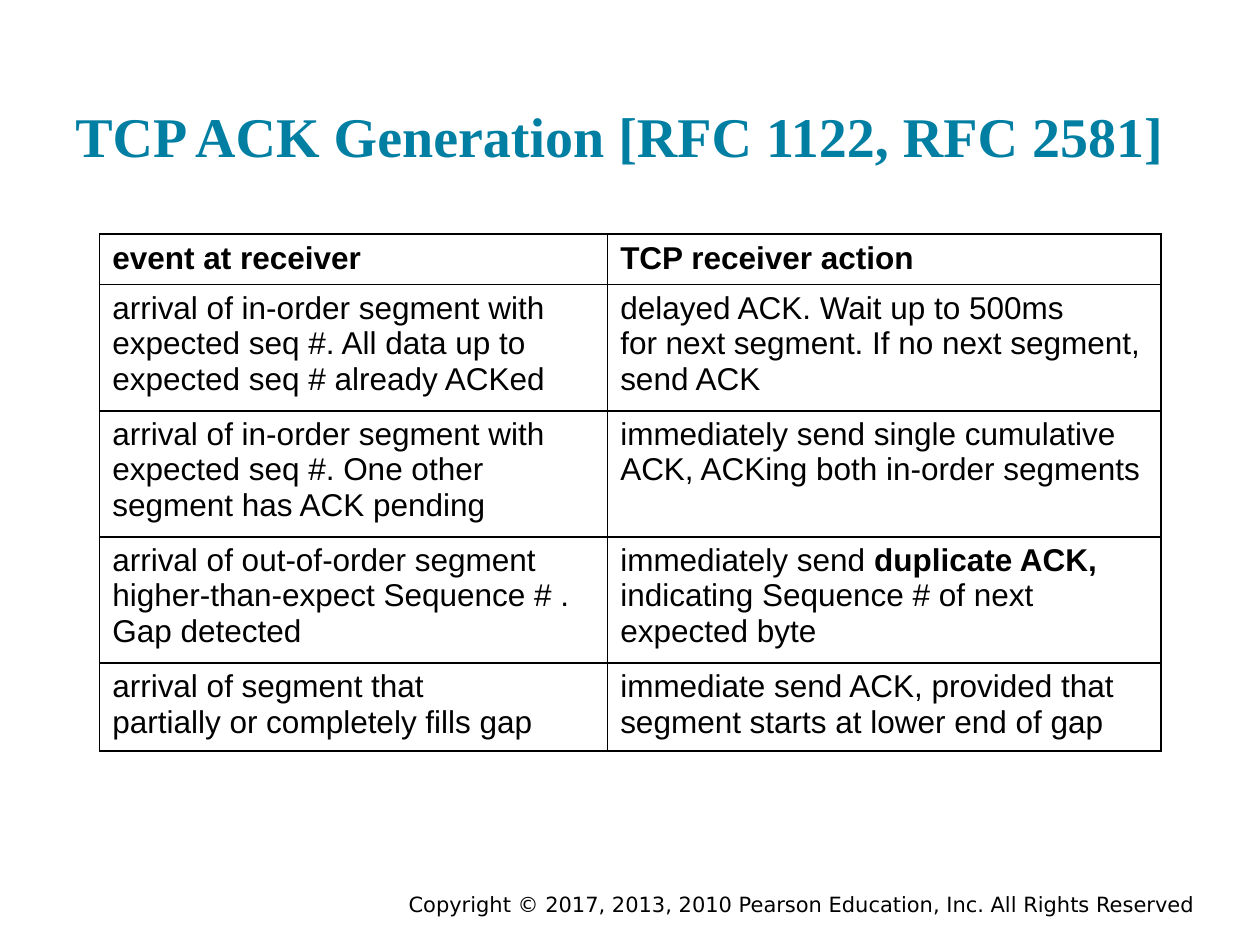
from typing import NamedTuple

import lxml.etree
import pptx
import pptx.dml.color
import pptx.enum.text
import pptx.oxml.ns
import pptx.util

Cm, Pt = pptx.util.Cm, pptx.util.Pt
Align, Anchor = pptx.enum.text.PP_ALIGN, pptx.enum.text.MSO_ANCHOR

COLORS = {"title": "007FA3", "text": "000000", "line": "000000"}
FORMATS = {
    "title": {"name": "Times New Roman", "size": Pt(32), "bold": True},
    "head": {"name": "Arial", "size": Pt(18), "bold": True},
    "body": {"name": "Arial", "size": Pt(18), "bold": False},
    "foot": {"name": "DejaVu Sans", "size": Pt(12), "bold": False},
}


class Label(NamedTuple):
    text: str
    style: str
    color: str
    box: tuple[float, float, float, float]
    inset: float
    align: Align
    anchor: Anchor


class Row(NamedTuple):
    height: float
    event: str
    action: str
    style: str = "body"


LABELS = [
    Label("TCP ACK Generation [RFC 1122, RFC 2581]", "title", "title",
          (1.27, 1.78, 22.86, 1.88), 0.25, Align.LEFT, Anchor.BOTTOM),
    Label("Copyright © 2017, 2013, 2010 Pearson Education, Inc. All Rights Reserved",
          "foot", "text", (7.42, 17.91, 16.92, 0.64), 0.13, Align.RIGHT, Anchor.MIDDLE),
]

# Each line is a paragraph; asterisks enclose bold words
ROWS = [
    Row(1.02, "event at receiver", "TCP receiver action", "head"),
    Row(2.54,
        "arrival of in-order segment with\nexpected seq #. All data up to\n"
        "expected seq # already ACKed",
        "delayed ACK. Wait up to 500ms\nfor next segment. If no next segment, send ACK"),
    Row(2.54,
        "arrival of in-order segment with\nexpected seq #. One other\n"
        "segment has ACK pending",
        "immediately send single cumulative\nACK, ACKing both in-order segments"),
    Row(2.54,
        "arrival of out-of-order segment\nhigher-than-expect Sequence # .\nGap detected",
        "immediately send *duplicate ACK,*\nindicating Sequence # of next expected byte"),
    Row(1.78,
        "arrival of segment that\npartially or completely fills gap",
        "immediate send ACK, provided that\nsegment starts at lower end of gap"),
]
WIDTHS = (10.24, 11.15)


def write(frame, text: str, style: str, color: str, align: Align = Align.LEFT) -> None:
    for i, line in enumerate(text.split("\n")):
        para = frame.add_paragraph() if i else frame.paragraphs[0]
        para.alignment = align
        for j, part in enumerate(line.split("*")):
            if not part:
                continue
            run = para.add_run()
            run.text = part
            for key, value in FORMATS[style].items():
                setattr(run.font, key, value)
            if j % 2:
                run.font.bold = True
            run.font.color.rgb = pptx.dml.color.RGBColor.from_string(COLORS[color])


def draw_label(slide, label: Label) -> None:
    frame = slide.shapes.add_textbox(*map(Cm, label.box)).text_frame
    frame.word_wrap = True
    frame.vertical_anchor = label.anchor
    frame.margin_top = frame.margin_bottom = Cm(label.inset)
    write(frame, label.text, label.style, label.color, label.align)


def add_borders(cell) -> None:
    props = cell._tc.get_or_add_tcPr()
    qn = pptx.oxml.ns.qn
    for i, side in enumerate("LRTB"):
        line = lxml.etree.Element(qn(f"a:ln{side}"), w=str(Pt(1)))
        fill = lxml.etree.SubElement(line, qn("a:solidFill"))
        lxml.etree.SubElement(fill, qn("a:srgbClr"), val=COLORS["line"])
        props.insert(i, line)


def draw_table(slide, rows: list[Row]) -> None:
    total = sum(row.height for row in rows)
    table = slide.shapes.add_table(len(rows), len(WIDTHS), Cm(2.01), Cm(4.72),
                                   Cm(sum(WIDTHS)), Cm(total)).table
    table.first_row = table.horz_banding = False
    for col, width in zip(table.columns, WIDTHS):
        col.width = Cm(width)
    for i, row in enumerate(rows):
        table.rows[i].height = Cm(row.height)
        for j, text in enumerate((row.event, row.action)):
            cell = table.cell(i, j)
            cell.fill.background()
            add_borders(cell)
            write(cell.text_frame, text, row.style, "text")


def main() -> None:
    deck = pptx.Presentation()
    deck.slide_width, deck.slide_height = Cm(25.4), Cm(19.05)
    slide = deck.slides.add_slide(deck.slide_layouts[6])
    # Title and footer
    for label in LABELS:
        draw_label(slide, label)
    # Receiver events and actions
    draw_table(slide, ROWS)
    deck.save("out.pptx")


if __name__ == "__main__":
    main()
